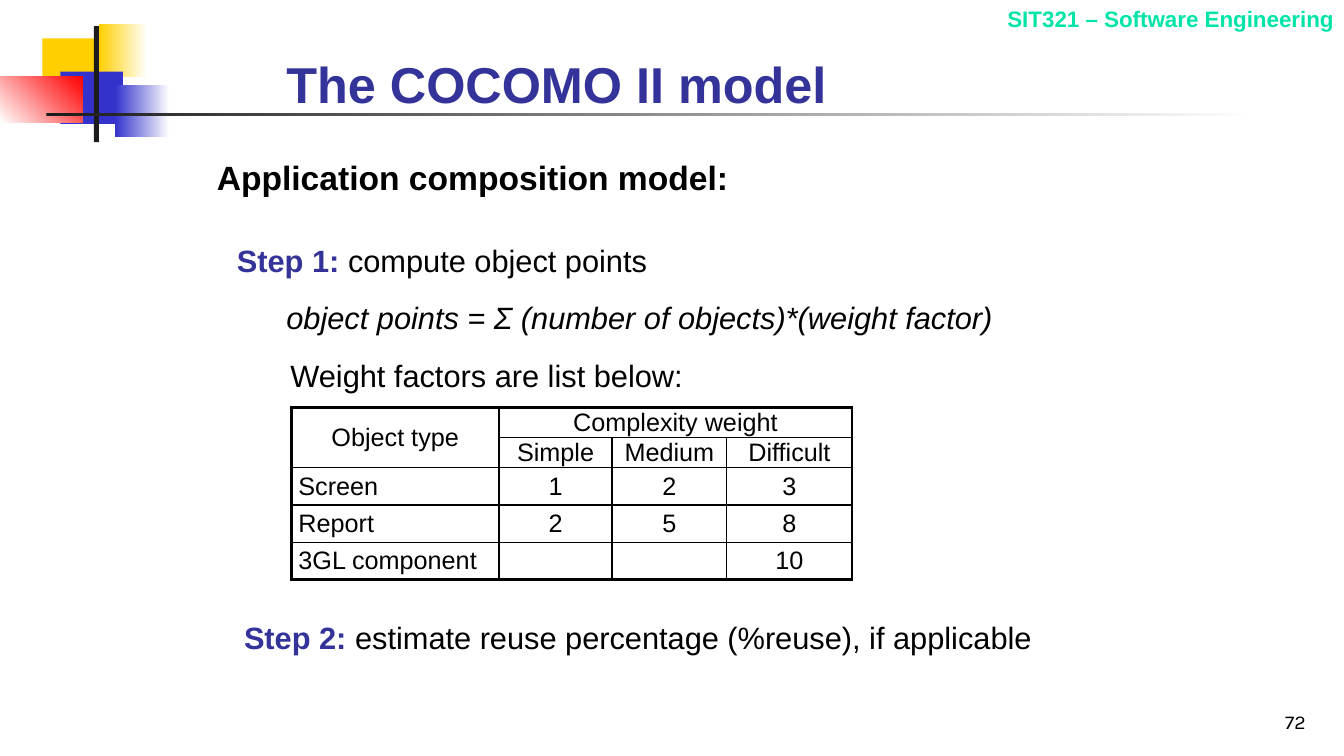
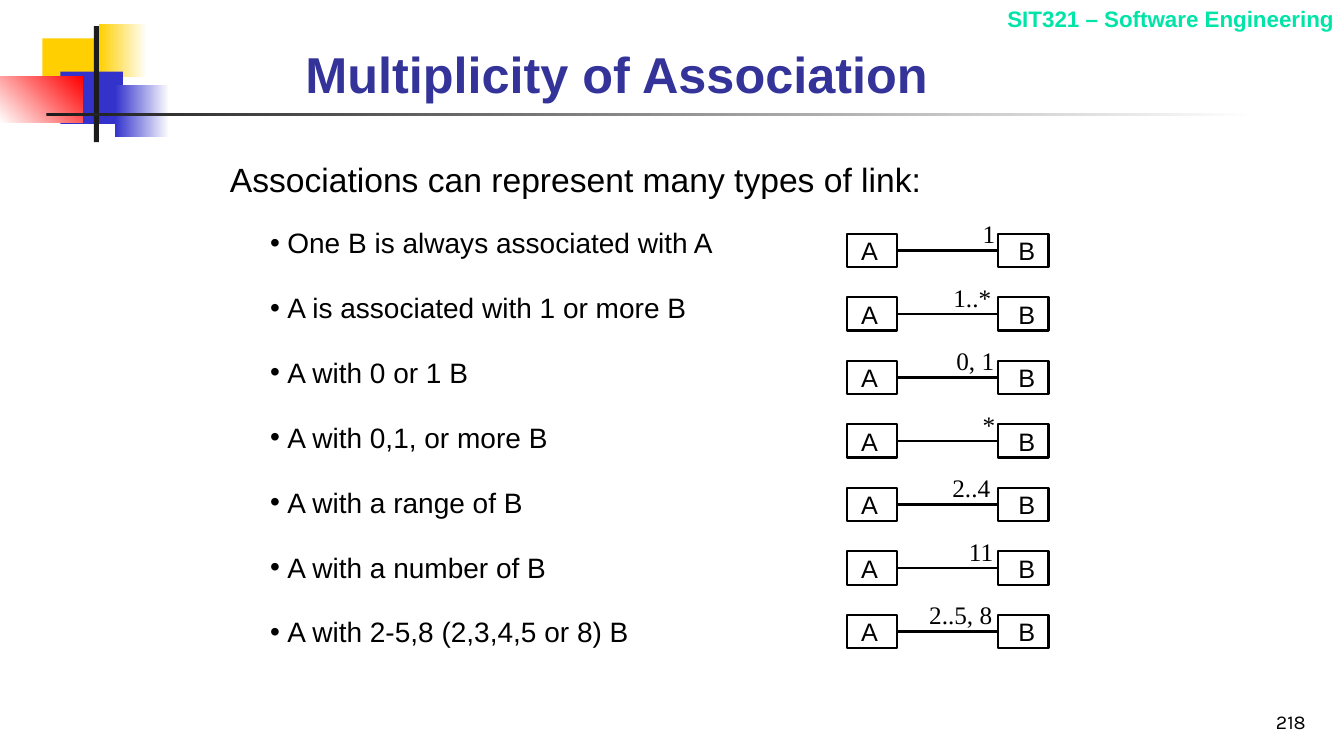
from dataclasses import dataclass

from lxml.etree import SubElement
from pptx import Presentation
from pptx.dml.color import RGBColor
from pptx.enum.shapes import MSO_CONNECTOR, MSO_SHAPE
from pptx.enum.text import MSO_ANCHOR, MSO_AUTO_SIZE, PP_ALIGN
from pptx.oxml.ns import qn
from pptx.util import Emu, Pt

EMU_PER_PX = 9144  # 100 px to the inch
BLACK, WHITE, NAVY = "000000", "FFFFFF", "333399"
YELLOW, BLUE, RED, CHARCOAL, MINT = "FFCF01", "3333CC", "FF0000", "1C1C1C", "00E4A8"
SANS, SERIF, NUMBER_FONT = "Arial", "Times New Roman", "Karla"
TWO_CONTENT = 3
ROW_PITCH = 63


@dataclass(frozen=True)
class Area:
    left: int
    top: int
    width: int
    height: int


@dataclass(frozen=True)
class Band:
    area: Area
    colors: tuple[str, ...]
    angle: int = 0


@dataclass(frozen=True)
class Line:
    text: str
    size: int
    lead: str = ""
    font: str = SANS
    color: str = BLACK
    bold: bool = False
    italic: bool = False
    align: PP_ALIGN = PP_ALIGN.LEFT
    indent: int = 0
    bullet: str = ""
    gap: float = 0


@dataclass(frozen=True)
class Association:
    description: str
    multiplicity: str
    label_right: int


BANDS = (
    Band(Area(42, 38, 64, 52), (YELLOW,)),
    Band(Area(98, 24, 48, 52), (YELLOW, WHITE)),
    Band(Area(60, 71, 62, 52), (BLUE,)),
    Band(Area(114, 84, 54, 52), (BLUE, WHITE)),
    Band(Area(0, 76, 82, 46), (WHITE, RED), 45),
    Band(Area(93, 26, 5, 115), (CHARCOAL,)),
    Band(Area(46, 112, 1200, 3), (CHARCOAL, WHITE)),
)
WEIGHT_ROWS = (
    ("Object type", "Complexity weight", "", ""),
    ("", "Simple", "Medium", "Difficult"),
    ("Screen", "1", "2", "3"),
    ("Report", "2", "5", "8"),
    ("3GL component", "", "", "10"),
)
COLUMN_WIDTHS = (206, 112, 114, 124)
ROW_HEIGHTS = (30, 30, 37, 37, 37)
ASSOCIATIONS = (
    Association("One B is always associated with A", "1", 997),
    Association("A is associated with 1 or more B", "1..*", 993),
    Association("A with 0 or 1 B", "0, 1", 996),
    Association("A with 0,1, or more B", "*", 997),
    Association("A with a range of B", "2..4", 992),
    Association("A with a number of B", "11", 995),
    Association("A with 2-5,8 (2,3,4,5 or 8) B", "2..5, 8", 994),
)


def px(length: int) -> Emu:
    return Emu(length * EMU_PER_PX)


def rgb(color: str) -> RGBColor:
    return RGBColor.from_string(color)


def bounds(area: Area) -> tuple[Emu, ...]:
    return px(area.left), px(area.top), px(area.width), px(area.height)


def write_line(paragraph, line: Line) -> None:
    properties = paragraph._p.get_or_add_pPr()
    hanging = 17 if line.bullet else 0
    properties.set("marL", str(px(line.indent + hanging)))
    properties.set("indent", str(px(-hanging)))
    if line.bullet:
        SubElement(properties, qn("a:buChar")).set("char", line.bullet)
    else:
        SubElement(properties, qn("a:buNone"))
    paragraph.alignment = line.align
    paragraph.space_before = Pt(line.gap)
    font = paragraph.font
    font.name, font.size = line.font, Pt(line.size)
    font.bold, font.italic = line.bold, line.italic
    font.color.rgb = rgb(line.color)
    if line.lead:
        lead = paragraph.add_run()
        lead.text = line.lead
        lead.font.bold = True
        lead.font.color.rgb = rgb(NAVY)
    paragraph.add_run().text = line.text


def write_lines(frame, lines: list[Line], anchor=MSO_ANCHOR.TOP) -> None:
    frame.word_wrap = True
    frame.auto_size = MSO_AUTO_SIZE.NONE
    frame.vertical_anchor = anchor
    for index, line in enumerate(lines):
        write_line(frame.add_paragraph() if index else frame.paragraphs[0], line)


def set_margins(target, left: int = 0) -> None:
    """Clear the margins of a frame or cell, except for the left one."""
    target.margin_left = px(left)
    target.margin_top = target.margin_right = target.margin_bottom = 0


def fill_placeholder(shape, area: Area, lines: list[Line], anchor=MSO_ANCHOR.TOP) -> None:
    shape.left, shape.top, shape.width, shape.height = bounds(area)
    write_lines(shape.text_frame, lines, anchor)


def add_text(shapes, area: Area, line: Line, anchor=MSO_ANCHOR.TOP):
    box = shapes.add_textbox(*bounds(area))
    write_lines(box.text_frame, [line], anchor)
    return box


def add_band(shapes, band: Band):
    shape = shapes.add_shape(MSO_SHAPE.RECTANGLE, *bounds(band.area))
    shape.shadow.inherit = False
    shape.line.fill.background()
    if len(band.colors) == 1:
        shape.fill.solid()
        shape.fill.fore_color.rgb = rgb(band.colors[0])
    else:
        shape.fill.gradient()
        shape.fill.gradient_angle = band.angle
        for stop, color in zip(shape.fill.gradient_stops, band.colors):
            stop.color.rgb = rgb(color)
    return shape


def decorate_master(deck, slide) -> None:
    """Draw the shared parts on a slide, then move them to the master."""
    parts = [add_band(slide.shapes, band) for band in BANDS]
    course = Line("SIT321 – Software Engineering", 16, color=MINT, bold=True,
                  align=PP_ALIGN.RIGHT)
    parts.append(add_text(slide.shapes, Area(803, 0, 530, 37), course))
    for number, part in enumerate(parts, start=100):
        part.element.xpath("./p:nvSpPr/p:cNvPr")[0].set("id", str(number))
        deck.slide_master.shapes.element.append(part.element)


def add_slide(deck, title: str, title_area: Area, number: str):
    slide = deck.slides.add_slide(deck.slide_layouts[TWO_CONTENT])
    heading = Line(title, 36, color=NAVY, bold=True)
    fill_placeholder(slide.shapes.title, title_area, [heading], MSO_ANCHOR.BOTTOM)
    page_number = Line(number, 14, font=NUMBER_FONT, align=PP_ALIGN.RIGHT)
    add_text(slide.shapes, Area(1027, 683, 278, 50), page_number, MSO_ANCHOR.BOTTOM)
    return slide


def add_border(cell, side: str, width: float) -> None:
    border = SubElement(cell._tc.get_or_add_tcPr(), qn(f"a:ln{side}"), w=str(Pt(width)))
    fill = SubElement(border, qn("a:solidFill"))
    SubElement(fill, qn("a:srgbClr"), val=BLACK)


def add_weight_table(slide) -> None:
    row_count, column_count = len(ROW_HEIGHTS), len(COLUMN_WIDTHS)
    area = Area(289, 404, sum(COLUMN_WIDTHS), sum(ROW_HEIGHTS))
    table = slide.shapes.add_table(row_count, column_count, *bounds(area)).table
    table.first_row = table.horz_banding = False
    for column, width in zip(table.columns, COLUMN_WIDTHS):
        column.width = px(width)
    for row, height in zip(table.rows, ROW_HEIGHTS):
        row.height = px(height)
    table.cell(0, 0).merge(table.cell(1, 0))
    table.cell(0, 1).merge(table.cell(0, 3))
    for row, texts in enumerate(WEIGHT_ROWS):
        for column, text in enumerate(texts):
            cell = table.cell(row, column)
            is_name = column == 0 and row > 1
            outer = {
                "L": column == 0,
                "R": column + cell.span_width == column_count,
                "T": row == 0,
                "B": row + cell.span_height == row_count,
            }
            for side, is_outer in outer.items():
                add_border(cell, side, 2.25 if is_outer else 1)
            cell.fill.background()
            cell.vertical_anchor = MSO_ANCHOR.MIDDLE
            set_margins(cell, 7 if is_name else 0)
            align = PP_ALIGN.LEFT if is_name else PP_ALIGN.CENTER
            write_line(cell.text_frame.paragraphs[0], Line(text, 18, align=align))


def add_class_box(shapes, name: str, left: int, top: int, margin: int):
    box = shapes.add_shape(MSO_SHAPE.RECTANGLE, *bounds(Area(left, top, 50, 33)))
    box.shadow.inherit = False
    box.fill.background()
    box.line.color.rgb = rgb(BLACK)
    box.line.width = Pt(1.5)
    set_margins(box.text_frame, margin)
    write_lines(box.text_frame, [Line(name, 18)], MSO_ANCHOR.MIDDLE)
    return box


def add_association(slide, association: Association, top: int) -> None:
    shapes = slide.shapes.add_group_shape().shapes
    source = add_class_box(shapes, "A", 840, top, 14)
    target = add_class_box(shapes, "B", 990, top, 20)
    link = shapes.add_connector(MSO_CONNECTOR.STRAIGHT, 0, 0, 0, 0)
    link.begin_connect(source, 3)
    link.end_connect(target, 1)
    link.line.color.rgb = rgb(BLACK)
    link.line.width = Pt(1.5)
    SubElement(link.element.spPr, qn("a:effectLst"))
    label = Line(association.multiplicity, 18, font=SERIF, align=PP_ALIGN.RIGHT)
    add_text(shapes, Area(association.label_right - 100, top - 20, 100, 40), label)


def build_cocomo_slide(deck) -> None:
    slide = add_slide(deck, "The COCOMO II model", Area(274, 40, 594, 78), "72")
    decorate_master(deck, slide)
    first_step, second_step = slide.placeholders[1], slide.placeholders[2]
    for placeholder in (first_step, second_step):
        set_margins(placeholder.text_frame)
    fill_placeholder(first_step, Area(215, 156, 800, 230), [
        Line("Application composition model:", 24, bold=True),
        Line("compute object points", 22, lead="Step 1: ", indent=20, gap=31.4),
        Line("object points = Σ (number of objects)*(weight factor)", 22,
             italic=True, indent=69, gap=14.3),
        Line("Weight factors are list below:", 22, indent=73, gap=15),
    ])
    fill_placeholder(second_step, Area(242, 614, 830, 37), [
        Line(" estimate reuse percentage (%reuse), if applicable", 22, lead="Step 2:"),
    ])
    add_weight_table(slide)


def build_association_slide(deck) -> None:
    slide = add_slide(deck, "Multiplicity of Association", Area(293, 23, 852, 85), "218")
    fill_placeholder(slide.placeholders[1], Area(218, 153, 732, 59), [
        Line("Associations can represent many types of link:", 24),
    ])
    fill_placeholder(slide.placeholders[2], Area(258, 219, 490, 420), [
        Line(association.description, 20, bullet="•", gap=22.3 if index else 0)
        for index, association in enumerate(ASSOCIATIONS)
    ])
    for index, association in enumerate(ASSOCIATIONS):
        add_association(slide, association, 232 + index * ROW_PITCH)


def main() -> None:
    deck = Presentation()
    deck.slide_width, deck.slide_height = px(1333), px(750)
    build_cocomo_slide(deck)
    build_association_slide(deck)
    deck.save("out.pptx")


if __name__ == "__main__":
    main()
